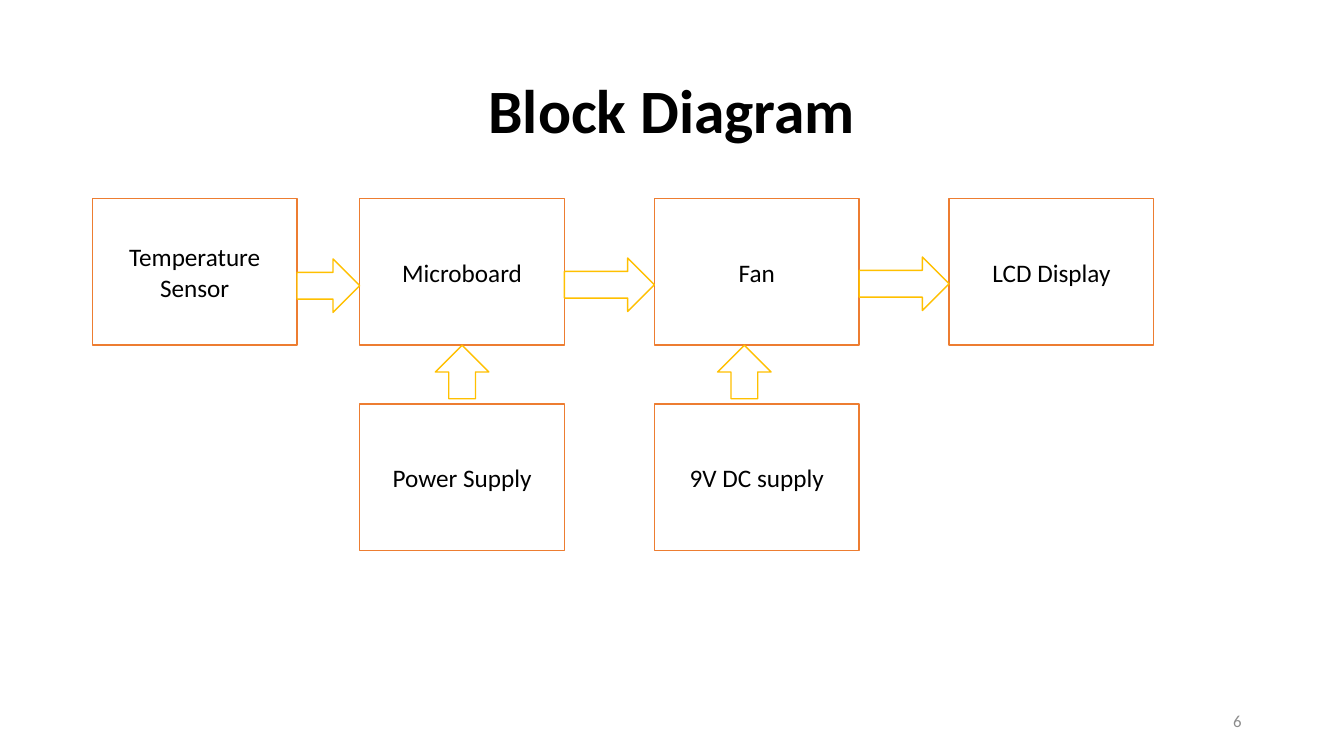
from pptx import Presentation
from pptx.dml.color import RGBColor
from pptx.enum.shapes import MSO_SHAPE
from pptx.enum.text import MSO_ANCHOR, PP_ALIGN
from pptx.util import Pt

RECTANGLE = MSO_SHAPE.RECTANGLE
RIGHT_ARROW = MSO_SHAPE.RIGHT_ARROW
UP_ARROW = MSO_SHAPE.UP_ARROW
MIDDLE = MSO_ANCHOR.MIDDLE
CENTER = PP_ALIGN.CENTER
RIGHT = PP_ALIGN.RIGHT

BLACK, WHITE, GRAY = "000000", "FFFFFF", "8C8C8C"
ORANGE, GOLD = "ED7D31", "FFC000"


def color(value):
    return RGBColor.from_string(value)


class DiagramSlide:
    font_name = "Calibri"
    line_width = Pt(1)

    def __init__(self, deck):
        self.slide = deck.slides.add_slide(deck.slide_layouts[6])

    def set_text(self, shape, text, align, ink=BLACK, spacing=1.0, **font_format):
        frame = shape.text_frame
        frame.word_wrap = True
        frame.vertical_anchor = MIDDLE
        para = frame.paragraphs[0]
        para.alignment = align
        para.line_spacing = spacing
        span = para.add_run()
        span.text = text
        for name, value in {"name": self.font_name, **font_format}.items():
            setattr(span.font, name, value)
        span.font.color.rgb = color(ink)

    def text(self, bounds, text, align, **text_format):
        box = self.slide.shapes.add_textbox(*map(Pt, bounds))
        self.set_text(box, text, align, **text_format)

    def shape(self, kind, bounds, outline):
        shape = self.slide.shapes.add_shape(kind, *map(Pt, bounds))
        shape.shadow.inherit = False
        shape.fill.solid()
        shape.fill.fore_color.rgb = color(WHITE)
        shape.line.color.rgb = color(outline)
        shape.line.width = self.line_width
        return shape

    def block(self, bounds, label):
        box = self.shape(RECTANGLE, bounds, ORANGE)
        self.set_text(box, label, CENTER, size=Pt(18))

    def arrow(self, kind, bounds):
        self.shape(kind, bounds, GOLD)


deck = Presentation()
deck.slide_width, deck.slide_height = Pt(960), Pt(540)
page = DiagramSlide(deck)

page.text((66, 28.8, 828, 104.4), "Block Diagram", CENTER,
          spacing=0.9, size=Pt(44), bold=True)
page.text((678, 500.5, 216, 28.8), "6", RIGHT, ink=GRAY, size=Pt(12))

block_width, block_height = 146.2, 104.6
columns = [66, 257, 467.5, 678]
top_row, supply_row = 142, 288.6
arrow_size = 38.2

blocks = [
    (3, top_row, "LCD Display"),
    (2, top_row, "Fan"),
    (1, top_row, "Microboard"),
    (0, top_row, "Temperature Sensor"),
    (1, supply_row, "Power Supply"),
    (2, supply_row, "9V DC supply"),
]
for column, top, label in blocks:
    page.block((columns[column], top, block_width, block_height), label)

flow_tops = [185, 184.3, 183.6]
for left, target, top in zip(columns, columns[1:], flow_tops):
    start = left + block_width
    page.arrow(RIGHT_ARROW, (start, top, target - start, arrow_size))

for left in (311, 512.6):
    page.arrow(UP_ARROW, (left, top_row + block_height, arrow_size, arrow_size))

deck.save("out.pptx")
